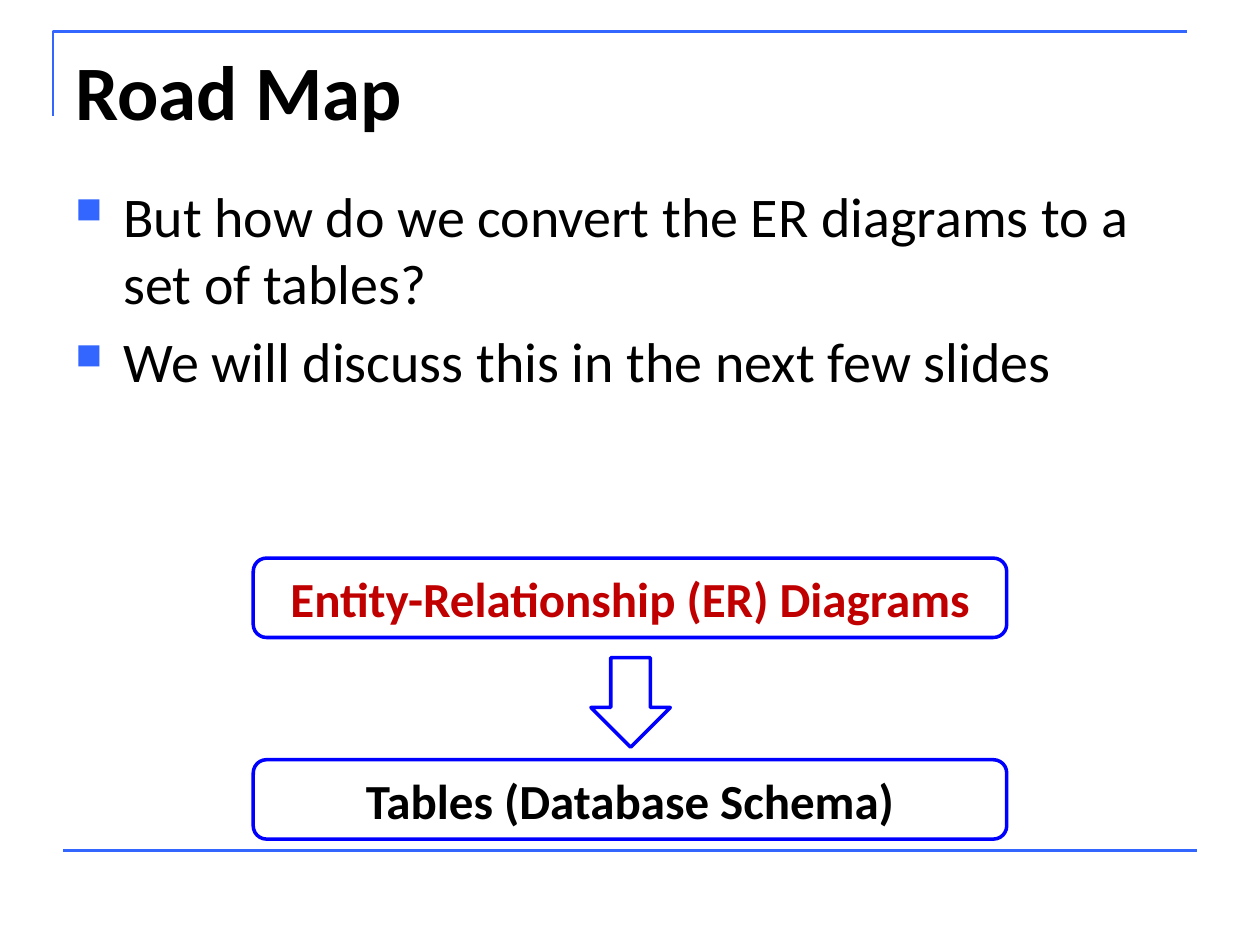
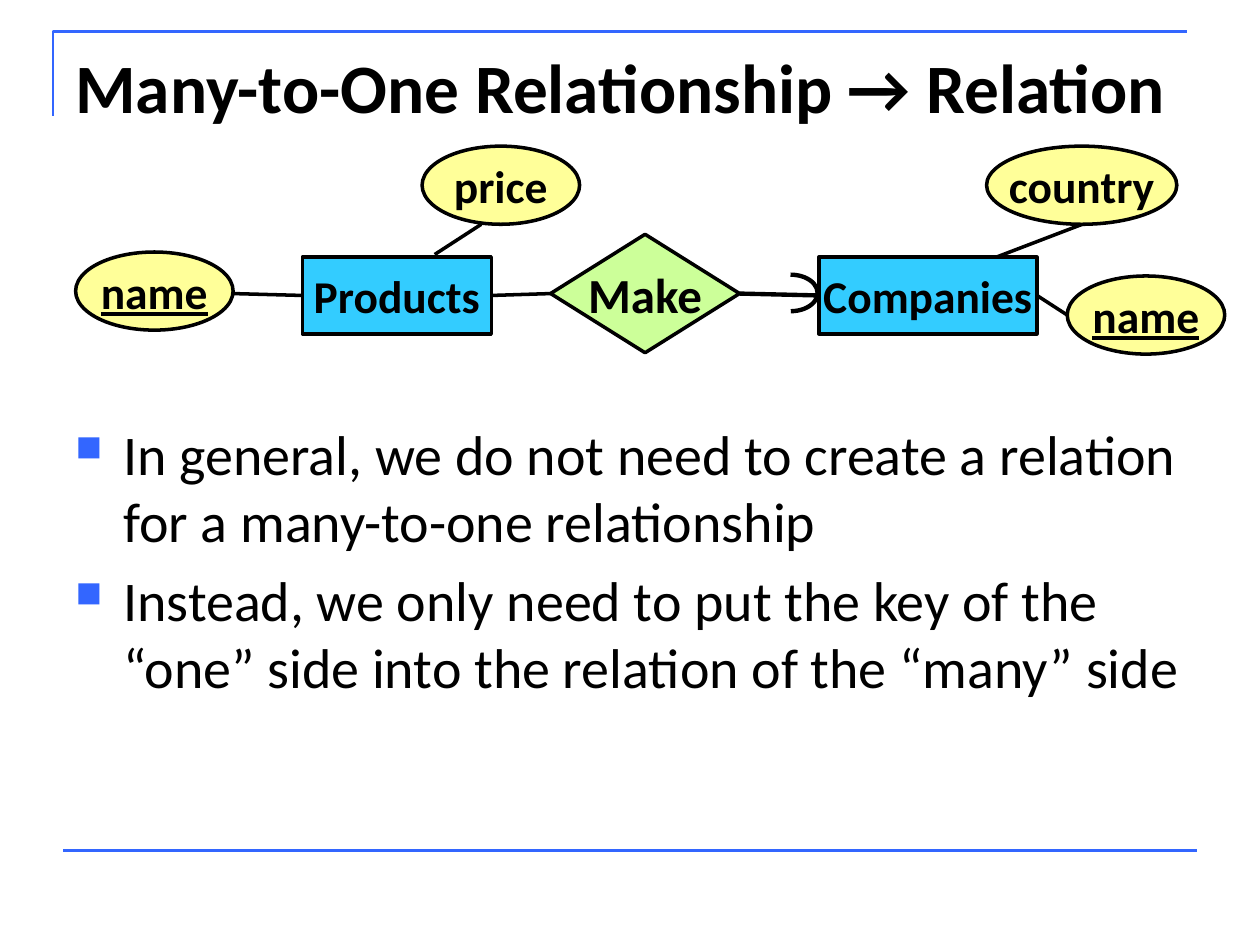
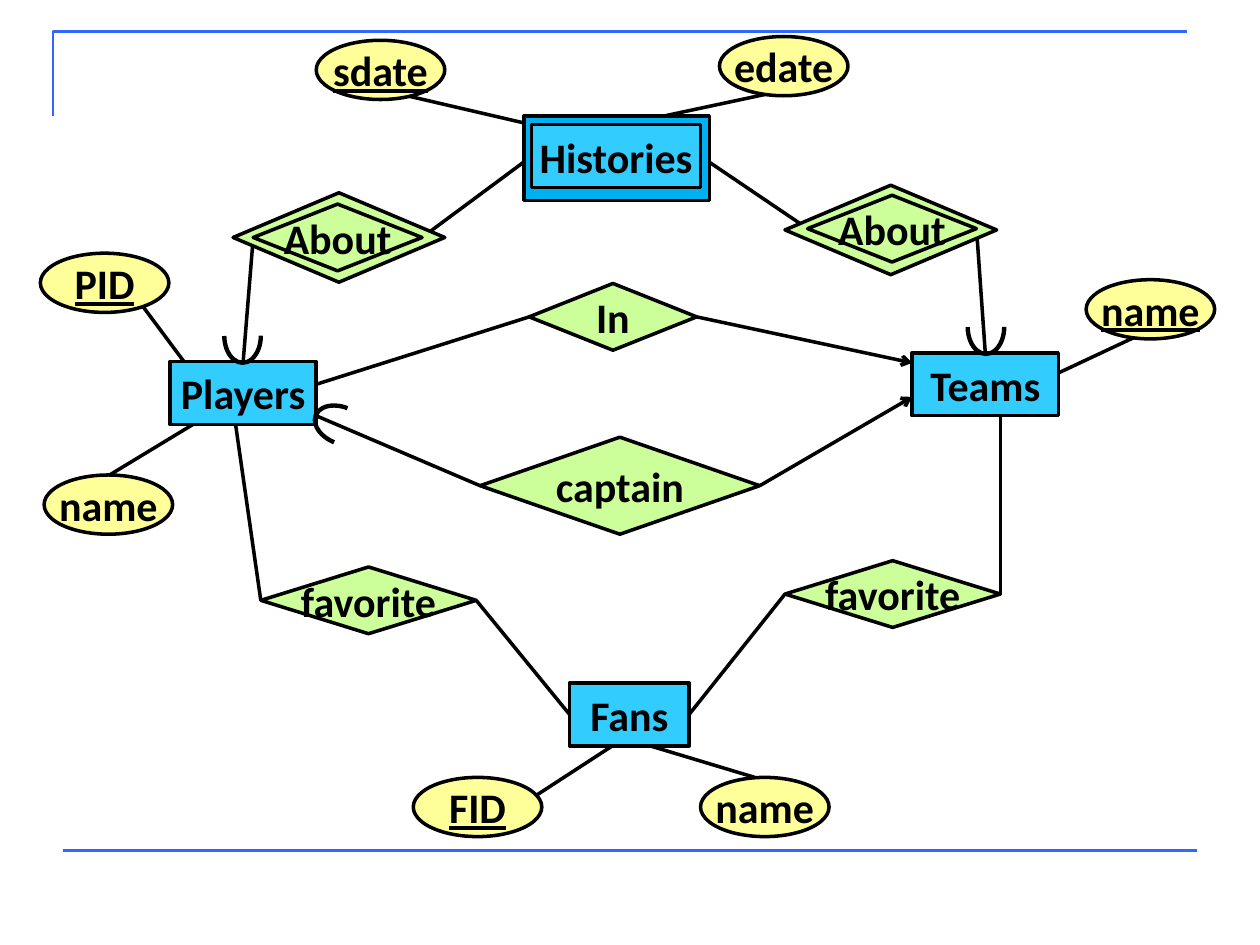
"""Build three slides on turning entity-relationship diagrams into tables."""
import dataclasses

import pptx
import pptx.dml.color
import pptx.enum.shapes
import pptx.enum.text
import pptx.oxml
import pptx.oxml.ns
import pptx.util

Inches = pptx.util.Inches
Pt = pptx.util.Pt
Form = pptx.enum.shapes.MSO_SHAPE
Align = pptx.enum.text.PP_ALIGN
Anchor = pptx.enum.text.MSO_ANCHOR
TOP, LEFT, BASE, RIGHT = range(4)


@dataclasses.dataclass(frozen=True)
class Theme:
    font: str = "Calibri"
    black: str = "000000"
    white: str = "FFFFFF"
    red: str = "C00000"
    blue: str = "0000FF"
    trim: str = "3366FF"
    sky: str = "33CCFF"
    deep: str = "00B0F0"
    lemon: str = "FFFF99"
    lime: str = "CCFF99"
    title: float = 44
    body: float = 32
    label: float = 28
    mark: float = 26
    small: float = 24
    thin: float = 1.5
    line: float = 2
    thick: float = 2.5


def color(code):
    return pptx.dml.color.RGBColor.from_string(code)


def assign(target, **values):
    for name, value in values.items():
        setattr(target, name, value)


def append(parent, tag, **values):
    child = parent.makeelement(pptx.oxml.ns.qn(tag), values)
    parent.append(child)
    return child


class Deck:
    def __init__(self, theme):
        self.theme = theme
        self.file = pptx.Presentation()
        assign(self.file, slide_width=Inches(10), slide_height=Inches(7.5))

    def page(self):
        self.slide = self.file.slides.add_slide(self.file.slide_layouts[6])
        self.shapes = self.slide.shapes
        look = self.theme
        edge = self.shapes.build_freeform(Inches(0.42), Inches(0.92), scale=1.0)
        edge.add_line_segments(
            [(Inches(0.42), Inches(0.25)), (Inches(9.42), Inches(0.25))], close=False)
        self.paint(edge.convert_to_shape(), None, look.trim, look.thin)
        self.link((0.5, 6.75), (9.5, 6.75), look.trim, look.thin)

    def paint(self, shape, fill, line, width):
        shape.shadow.inherit = False
        if fill:
            shape.fill.solid()
            shape.fill.fore_color.rgb = color(fill)
        else:
            shape.fill.background()
        self.stroke(shape, line, width)

    def stroke(self, shape, line, width):
        shape.line.color.rgb = color(line)
        shape.line.width = Pt(width)

    def letter(self, part, text, size, ink=None, **style):
        part.text = text
        assign(part.font, name=self.theme.font, size=Pt(size), **style)
        part.font.color.rgb = color(ink or self.theme.black)

    def box(self, place):
        frame = self.shapes.add_textbox(*map(Inches, place)).text_frame
        frame.word_wrap = True
        return frame

    def title(self, text, size=None):
        frame = self.box((0.5, 0.3, 9, 1.25))
        self.letter(frame.paragraphs[0], text, size or self.theme.title, bold=True)

    def points(self, texts, top, height):
        frame = self.box((0.5, top, 9, height))
        size = self.theme.body
        for rank, text in enumerate(texts):
            part = frame.add_paragraph() if rank else frame.paragraphs[0]
            part.space_before = Pt(size * 0.2 if rank else 0)
            props = part._p.get_or_add_pPr()
            indent = Inches(0.38)
            props.set("marL", str(indent))
            props.set("indent", str(-indent))
            append(append(props, "a:buClr"), "a:srgbClr", val=self.theme.trim)
            append(props, "a:buSzPct", val="65000")
            append(props, "a:buChar", char="■")
            self.letter(part, text, size)

    def shape(self, form, place, fill=None, line=None, width=None):
        shape = self.shapes.add_shape(form, *map(Inches, place))
        self.paint(shape, fill, line or self.theme.black, width or self.theme.line)
        return shape

    def label(self, shape, text, size, ink=None, **style):
        frame = shape.text_frame
        assign(frame, word_wrap=False, vertical_anchor=Anchor.MIDDLE)
        part = frame.paragraphs[0]
        part.alignment = Align.CENTER
        self.letter(part, text, size, ink, bold=True, **style)

    def step(self, text, top, ink):
        look = self.theme
        shape = self.shape(Form.ROUNDED_RECTANGLE, (2.01, top, 5.98, 0.63),
                           look.white, look.blue)
        self.label(shape, text, look.label, ink)

    def node(self, form, fill, text, place, size=None, **style):
        shape = self.shape(form, place, fill)
        self.label(shape, text, size or self.theme.small, **style)
        return shape

    def thing(self, text, place, size=None):
        return self.node(Form.RECTANGLE, self.theme.sky, text, place, size)

    def bond(self, text, place, size=None):
        return self.node(Form.DIAMOND, self.theme.lime, text, place, size)

    def trait(self, text, place, key=False, size=None):
        return self.node(Form.OVAL, self.theme.lemon, text, place, size, underline=key)

    def link(self, start, end, line=None, width=None, arrow=False):
        """Draw a line behind the nodes between points or (shape, side) pairs."""
        free = [isinstance(tip[0], (int, float)) for tip in (start, end)]
        spots = [tip if loose else (0, 0) for tip, loose in zip((start, end), free)]
        wire = self.shapes.add_connector(
            pptx.enum.shapes.MSO_CONNECTOR.STRAIGHT,
            *(Inches(value) for spot in spots for value in spot))
        if not free[0]:
            wire.begin_connect(*start)
        if not free[1]:
            wire.end_connect(*end)
        self.stroke(wire, line or self.theme.black, width or self.theme.line)
        if arrow:
            append(wire.line._get_or_add_ln(), "a:tailEnd", type="arrow")
        append(wire._element.spPr, "a:effectLst")
        self.shapes._spTree.insert(2, wire._element)

    def arc(self, left, top, turn=0):
        shape = self.shape(Form.ARC, (left, top, 0.43, 0.29), width=self.theme.thick)
        shape.adjustments[0] = 162
        shape.adjustments[1] = 53.455
        shape.rotation = turn


def roadmap(deck):
    look = deck.theme
    deck.page()
    deck.title("Road Map")
    deck.points(["But how do we convert the ER diagrams to a set of tables?",
                 "We will discuss this in the next few slides"], 1.39, 2.83)
    deck.step("Entity-Relationship (ER) Diagrams", 4.43, look.red)
    deck.shape(Form.DOWN_ARROW, (4.69, 5.22, 0.63, 0.71), line=look.blue)
    deck.step("Tables (Database Schema)", 6.03, look.black)


def many(deck):
    look = deck.theme
    deck.page()
    deck.title("Many-to-One Relationship → Relation", 39.6)
    deck.points([
        "In general, we do not need to create a relation for a many-to-one relationship",
        "Instead, we only need to put the key of the “one” side into the relation "
        "of the “many” side"], 3.28, 3.43)
    firms = deck.thing("Companies", (6.5, 2.04, 1.73, 0.61), look.mark)
    goods = deck.thing("Products", (2.4, 2.04, 1.5, 0.61), look.mark)
    make = deck.bond("Make", (4.37, 1.86, 1.5, 0.94), look.label)
    for text, place, key in [
        ("country", (7.83, 1.16, 1.51, 0.62), False),
        ("name", (8.47, 2.19, 1.25, 0.62), True),
        ("name", (0.6, 2, 1.25, 0.62), True),
        ("price", (3.35, 1.16, 1.25, 0.62), False),
    ]:
        deck.trait(text, place, key, look.mark)
    for start, end in [
        ((8.47, 2.5), (firms, RIGHT)),
        ((8.59, 1.78), (7.91, 2.04)),
        ((1.85, 2.33), (goods, LEFT)),
        ((3.82, 1.78), (3.45, 2.02)),
        ((goods, RIGHT), (make, LEFT)),
    ]:
        deck.link(start, end)
    deck.link((firms, LEFT), (make, RIGHT), width=look.thick)
    deck.arc(6.06, 2.18)


def league(deck):
    look = deck.theme
    deck.page()
    deck.shape(Form.RECTANGLE, (4.16, 0.92, 1.47, 0.67), look.deep)
    for left, top in [(1.85, 1.53), (6.23, 1.47)]:
        deck.shape(Form.DIAMOND, (left, top, 1.68, 0.71), look.lime)
    past = deck.thing("Histories", (4.22, 0.99, 1.34, 0.5))
    players = deck.thing("Players", (1.35, 2.87, 1.16, 0.5))
    teams = deck.thing("Teams", (7.24, 2.8, 1.16, 0.5))
    fans = deck.thing("Fans", (4.52, 5.42, 0.95, 0.5))
    about = deck.bond("About", (2.01, 1.62, 1.34, 0.53))
    around = deck.bond("About", (6.41, 1.55, 1.34, 0.53))
    within = deck.bond("In", (4.2, 2.25, 1.33, 0.53))
    captain = deck.bond("captain", (3.81, 3.47, 2.22, 0.77))
    player = deck.bond("favorite", (2.07, 4.5, 1.71, 0.53))
    team = deck.bond("favorite", (6.23, 4.45, 1.71, 0.53))
    for text, left, top, key in [
        ("sdate", 2.51, 0.32, True),
        ("edate", 5.71, 0.29, False),
        ("PID", 0.32, 2.01, True),
        ("name", 0.35, 3.77, False),
        ("name", 8.62, 2.22, True),
        ("FID", 3.28, 6.17, True),
        ("name", 5.56, 6.17, False),
    ]:
        deck.trait(text, (left, top, 1.02, 0.47), key)
    for start, end in [
        ((4.26, 6.31), (4.86, 5.92)),
        ((5.16, 5.92), (5.99, 6.17)),
        ((3.23, 0.76), (4.22, 0.99)),
        ((6.07, 0.75), (5.04, 0.97)),
        ((1.14, 2.44), (1.46, 2.87)),
        ((1.53, 3.37), (0.87, 3.77)),
        ((8.4, 2.96), (9.02, 2.67)),
        ((about, RIGHT), (past, LEFT)),
        ((around, LEFT), (past, RIGHT)),
        ((players, TOP), (about, LEFT)),
        ((teams, TOP), (around, RIGHT)),
        ((1.87, 3.37), (player, LEFT)),
        ((player, RIGHT), (fans, LEFT)),
        ((team, LEFT), (fans, RIGHT)),
        ((7.94, 3.3), (team, RIGHT)),
        ((2.51, 3.05), (within, LEFT)),
        ((2.51, 3.3), (captain, LEFT)),
    ]:
        deck.link(start, end)
    deck.link((within, RIGHT), (7.24, 2.88), arrow=True)
    deck.link((captain, RIGHT), (7.24, 3.15), arrow=True)
    for left, top, turn in [(1.71, 2.52, 90), (7.61, 2.45, 90), (2.49, 3.23, 201.9)]:
        deck.arc(left, top, turn)


def main():
    deck = Deck(Theme())
    for build in (roadmap, many, league):
        build(deck)
    deck.file.save("out.pptx")


if __name__ == "__main__":
    main()
